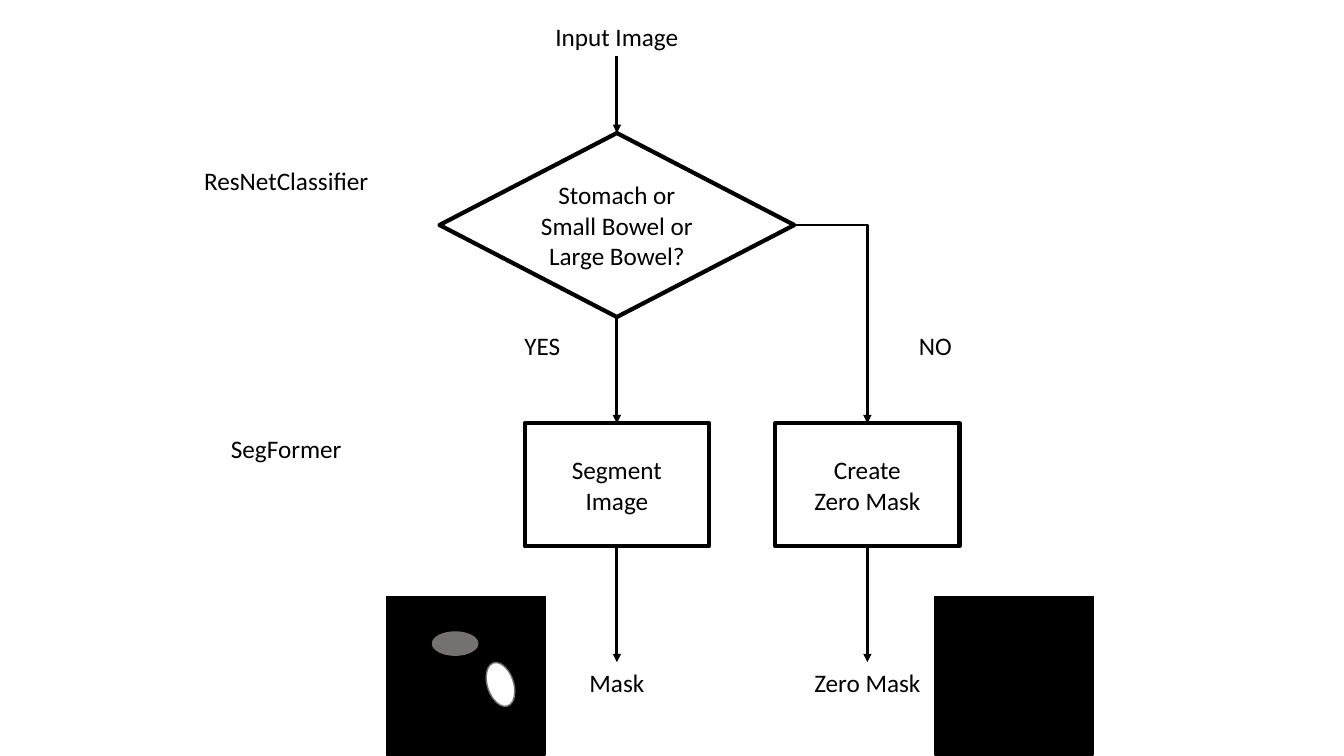
"""Draw the flowchart of a two-stage segmentation pipeline."""
from dataclasses import dataclass
from typing import Any, Optional

import lxml.etree
import pptx
import pptx.dml.color
import pptx.enum.shapes
import pptx.enum.text
import pptx.oxml.ns
import pptx.util

BLACK = pptx.dml.color.RGBColor(0x00, 0x00, 0x00)
WHITE = pptx.dml.color.RGBColor(0xFF, 0xFF, 0xFF)
GRAY = pptx.dml.color.RGBColor(0x76, 0x71, 0x71)

FONT = "Calibri"
CELL = pptx.util.Inches(0.1)
COLUMNS, ROWS = 133.33, 75

ROLE_COLUMN, MASK_COLUMN, YES_COLUMN, MAIN_COLUMN = 28.4, 46.2, 53.8, 61.2
ZERO_COLUMN, NO_COLUMN, ZERO_MASK_COLUMN = 86.05, 92.8, 100.6
INPUT_ROW, DECISION_ROW, BRANCH_ROW = 1.6, 13.2, 32.3
STEP_ROW, PANEL_ROW, OUTPUT_ROW = 42, 59.2, 65.7
LABEL_WIDTH, LABEL_HEIGHT = 20.6, 4
DECISION_WIDTH, DECISION_HEIGHT = 35.2, 18.25
STEP_WIDTH, STEP_HEIGHT = 18.3, 12.2
PANEL_SIZE = 15.7

Kind = pptx.enum.shapes.MSO_SHAPE


@dataclass(frozen=True)
class Label:
    """Free text centred on a column, starting at a row."""
    text: str
    column: float
    row: float


@dataclass(frozen=True)
class Node:
    """An outlined shape centred on a column, starting at a row."""
    kind: Any
    column: float
    row: float
    width: float
    height: float
    text: str = ""
    fill: pptx.dml.color.RGBColor = WHITE
    line: pptx.dml.color.RGBColor = BLACK
    weight: float = 3
    rotation: float = 0


@dataclass(frozen=True)
class Arrow:
    """An arrow between two grid points, optionally with a corner."""
    column: float
    row: float
    end_column: float
    end_row: float
    bent: bool = False


LABELS = [
    Label("Input Image", MAIN_COLUMN, INPUT_ROW),
    Label("ResNetClassifier", ROLE_COLUMN, 15.9),
    Label("SegFormer", ROLE_COLUMN, 42.5),
    Label("YES", YES_COLUMN, BRANCH_ROW),
    Label("NO", NO_COLUMN, BRANCH_ROW),
    Label("Mask", MAIN_COLUMN, OUTPUT_ROW),
    Label("Zero Mask", ZERO_COLUMN, OUTPUT_ROW),
]
NODES = [
    Node(Kind.FLOWCHART_DECISION, MAIN_COLUMN, DECISION_ROW, DECISION_WIDTH,
         DECISION_HEIGHT, "Stomach or Small Bowel or Large Bowel?"),
    Node(Kind.FLOWCHART_PROCESS, MAIN_COLUMN, STEP_ROW, STEP_WIDTH,
         STEP_HEIGHT, "Segment\nImage"),
    Node(Kind.FLOWCHART_PROCESS, ZERO_COLUMN, STEP_ROW, STEP_WIDTH,
         STEP_HEIGHT, "Create\nZero Mask"),
    Node(Kind.FLOWCHART_PROCESS, ZERO_MASK_COLUMN, PANEL_ROW, PANEL_SIZE,
         PANEL_SIZE, fill=BLACK, weight=1),
]
MASK_NODES = [
    Node(Kind.FLOWCHART_PROCESS, MASK_COLUMN, PANEL_ROW, PANEL_SIZE,
         PANEL_SIZE, fill=BLACK, weight=1),
    Node(Kind.OVAL, 45.15, 62.7, 4.5, 2.3, fill=GRAY, line=GRAY, weight=1),
    Node(Kind.OVAL, 49.65, 66.6, 4.5, 2.6, line=GRAY, weight=1, rotation=71.8),
]
ARROWS = [
    Arrow(MAIN_COLUMN, INPUT_ROW + LABEL_HEIGHT, MAIN_COLUMN, DECISION_ROW),
    Arrow(MAIN_COLUMN, DECISION_ROW + DECISION_HEIGHT, MAIN_COLUMN, STEP_ROW),
    Arrow(MAIN_COLUMN + DECISION_WIDTH / 2, DECISION_ROW + DECISION_HEIGHT / 2,
          ZERO_COLUMN, STEP_ROW, bent=True),
    *(Arrow(column, STEP_ROW + STEP_HEIGHT, column, OUTPUT_ROW)
      for column in (MAIN_COLUMN, ZERO_COLUMN)),
]


def cells(count: float) -> int:
    """Convert a number of grid cells to a length."""
    return pptx.util.Emu(round(count * CELL))


def write_text(frame: Any, text: str, *, size: float = 18,
               color: pptx.dml.color.RGBColor = BLACK,
               anchor: Optional[Any] = None) -> None:
    """Fill a text frame with centred paragraphs, one for each line."""
    frame.word_wrap = True
    frame.vertical_anchor = anchor
    frame.text = text
    for paragraph in frame.paragraphs:
        paragraph.alignment = pptx.enum.text.PP_ALIGN.CENTER
        for run in paragraph.runs:
            run.font.name = FONT
            run.font.size = pptx.util.Pt(size)
            run.font.color.rgb = color


def draw_label(shapes: Any, label: Label) -> None:
    """Add a text box for a label."""
    box = shapes.add_textbox(cells(label.column - LABEL_WIDTH / 2), cells(label.row),
                             cells(LABEL_WIDTH), cells(LABEL_HEIGHT))
    write_text(box.text_frame, label.text)
    box.text_frame.auto_size = pptx.enum.text.MSO_AUTO_SIZE.SHAPE_TO_FIT_TEXT


def draw_node(shapes: Any, node: Node) -> None:
    """Add a filled and outlined shape with its text."""
    shape = shapes.add_shape(node.kind, cells(node.column - node.width / 2),
                             cells(node.row), cells(node.width), cells(node.height))
    shape.shadow.inherit = False
    shape.rotation = node.rotation
    shape.fill.solid()
    shape.fill.fore_color.rgb = node.fill
    shape.line.color.rgb = node.line
    shape.line.width = pptx.util.Pt(node.weight)
    if node.text:
        write_text(shape.text_frame, node.text,
                   anchor=pptx.enum.text.MSO_ANCHOR.MIDDLE)


def draw_arrow(shapes: Any, arrow: Arrow) -> None:
    """Add a connector with a triangular head at its end."""
    connector_types = pptx.enum.shapes.MSO_CONNECTOR
    connector = shapes.add_connector(
        connector_types.ELBOW if arrow.bent else connector_types.STRAIGHT,
        cells(arrow.column), cells(arrow.row),
        cells(arrow.end_column), cells(arrow.end_row))
    connector.line.color.rgb = BLACK
    connector.line.width = pptx.util.Pt(2)
    qualify = pptx.oxml.ns.qn
    properties = connector._element.spPr
    if arrow.bent:
        properties.find(qualify("a:prstGeom")).set("prst", "bentConnector2")
    lxml.etree.SubElement(properties.find(qualify("a:ln")),
                          qualify("a:tailEnd"), type="triangle")
    lxml.etree.SubElement(properties, qualify("a:effectLst"))


def main() -> None:
    """Build the slide and save it."""
    presentation = pptx.Presentation()
    presentation.slide_width = cells(COLUMNS)
    presentation.slide_height = cells(ROWS)
    slide = presentation.slides.add_slide(presentation.slide_layouts[6])
    for arrow in ARROWS:
        draw_arrow(slide.shapes, arrow)
    for node in NODES:
        draw_node(slide.shapes, node)
    mask_group = slide.shapes.add_group_shape()
    for node in MASK_NODES:
        draw_node(mask_group.shapes, node)
    for label in LABELS:
        draw_label(slide.shapes, label)
    presentation.save("out.pptx")


if __name__ == "__main__":
    main()
